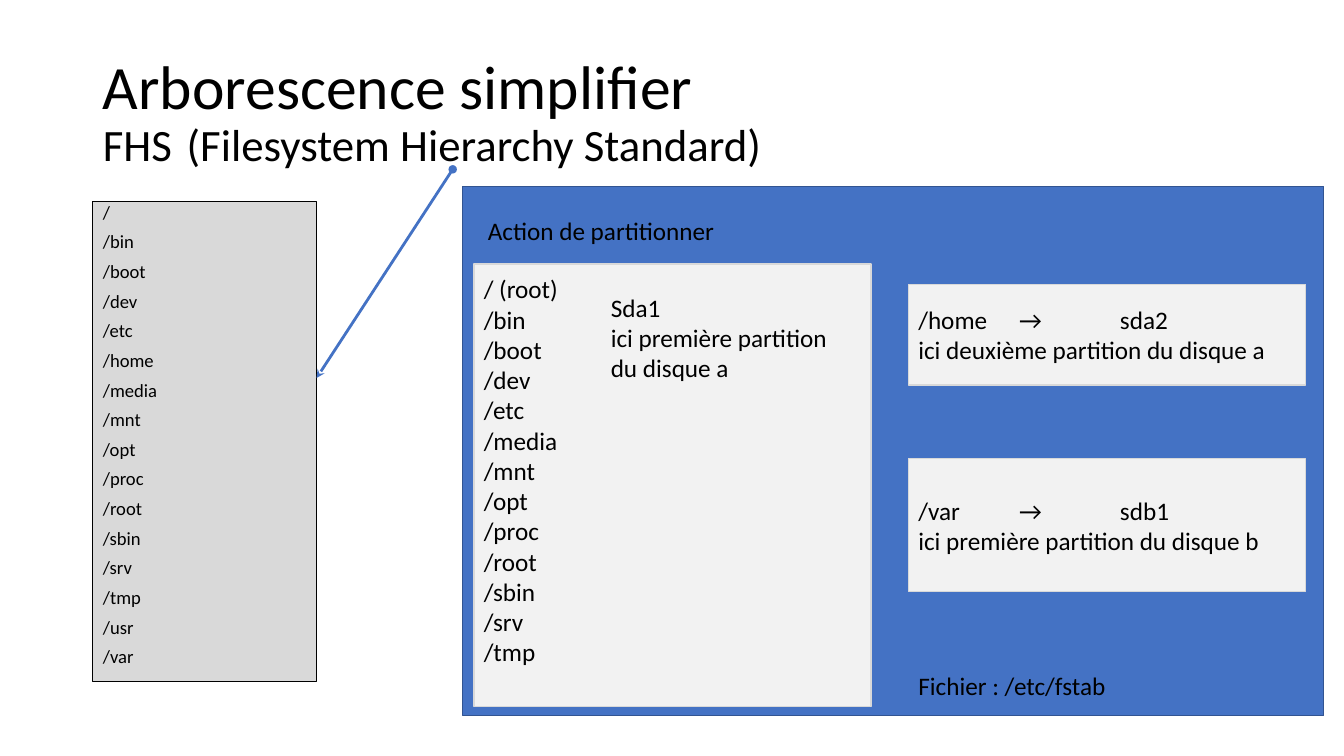
"""Build the slide on the simplified FHS tree and its partitions."""
from lxml import etree
from pptx import Presentation
from pptx.dml.color import RGBColor
from pptx.enum.shapes import MSO_CONNECTOR, MSO_SHAPE
from pptx.enum.text import MSO_ANCHOR, MSO_AUTO_SIZE, PP_ALIGN
from pptx.oxml.ns import qn
from pptx.util import Inches, Pt

RECTANGLE, STRAIGHT = MSO_SHAPE.RECTANGLE, MSO_CONNECTOR.STRAIGHT
TOP, MIDDLE = MSO_ANCHOR.TOP, MSO_ANCHOR.MIDDLE
NO_FIT, LEFT = MSO_AUTO_SIZE.NONE, PP_ALIGN.LEFT
COLORS = {"text": "000000", "disk": "4472C4", "disk_edge": "325491",
          "panel": "F2F2F2", "panel_edge": "D9D9D9", "tree": "D9D9D9"}
COLORS = {name: RGBColor.from_string(value) for name, value in COLORS.items()}


def paint(shape, fill, edge, width):
    shape.fill.solid()
    shape.fill.fore_color.rgb = COLORS[fill]
    shape.line.color.rgb = COLORS[edge]
    shape.line.width = Pt(width)


def write(shape, paragraphs, frame_format, paragraph_format):
    frame = shape.text_frame
    for name, value in frame_format.items():
        setattr(frame, name, value)
    frame.text = "\n".join(paragraphs)
    for paragraph in frame.paragraphs:
        for name, value in paragraph_format.items():
            setattr(paragraph, name, value)
        paragraph._p.get_or_add_pPr().set("defTabSz", str(Inches(1)))
        for run in paragraph.runs:
            run.font.name = "Calibri"
            run.font.color.rgb = COLORS["text"]
            run.font.size = Pt(18)


deck = Presentation()
deck.slide_width, deck.slide_height = Inches(13.33), Inches(7.5)
slide = deck.slides.add_slide(deck.slide_layouts[1])
shapes = slide.shapes
title, tree = slide.placeholders

placements = [(title, (0.92, 0.4, 11.5, 1.45)), (tree, (0.92, 2, 2.22, 4.76))]
for placeholder, place in placements:
    for side, length in zip(("left", "top", "width", "height"), place):
        setattr(placeholder, side, Inches(length))

write(title, [], {"vertical_anchor": MIDDLE, "auto_size": NO_FIT, "word_wrap": True},
      {"alignment": LEFT, "line_spacing": 0.9})
heading = title.text_frame.paragraphs[0]
heading_runs = [("Arborescence simplifier", 44), ("FHS ", 32), (" ", 14),
                ("(Filesystem Hierarchy Standard)", 32)]
for position, (words, size) in enumerate(heading_runs):
    if position == 1:
        heading.add_line_break()
    run = heading.add_run()
    run.text = words
    run.font.name, run.font.size = "Calibri", Pt(size)
    run.font.color.rgb = COLORS["text"]

root_folders = "/bin /boot /dev /etc /media /mnt /opt /proc /root /sbin /srv /tmp".split()
all_folders = ["/", *sorted(root_folders + ["/home", "/usr", "/var"])]
paint(tree, "tree", "text", 0.75)
write(tree, all_folders, {"vertical_anchor": TOP, "auto_size": NO_FIT},
      {"alignment": LEFT, "line_spacing": 0.7, "space_before": Pt(10)})
for folder in tree.text_frame.paragraphs:
    folder.runs[0].font.size = Pt(13.3)
    properties = folder._p.get_or_add_pPr()
    properties.set("marL", "0")
    properties.set("indent", "0")
    etree.SubElement(properties, qn("a:buNone"))

panel_left, panel_width = 9.01, 3.94
panels = [
    ((4.59, 1.85, 8.54, 5.25), "disk", "disk_edge", [], 0.05),
    ((4.7, 2.62, panel_width, 4.39), "panel", "panel_edge",
     ["/ (root)", *root_folders], 0.35),
    ((panel_left, 2.82, panel_width, 1), "panel", "panel_edge",
     ["/home \t→ \tsda2\vici deuxième partition du disque a"], 0.05),
    ((panel_left, 4.55, panel_width, 1.32), "panel", "panel_edge",
     ["/var \t→ \tsdb1\vici première partition du disque b"], 0.05),
]
for place, fill, edge, lines, bottom in panels:
    panel = shapes.add_shape(RECTANGLE, *map(Inches, place))
    panel.shadow.inherit = False
    paint(panel, fill, edge, 1)
    write(panel, lines, {"vertical_anchor": MIDDLE, "word_wrap": True,
                         "margin_bottom": Inches(bottom)}, {"alignment": LEFT})

arrow = shapes.add_connector(STRAIGHT, *map(Inches, (4.49, 1.68, 3.14, 3.75)))
arrow.line.color.rgb = COLORS["disk"]
arrow.line.width = Pt(2)
stroke = arrow.line._get_or_add_ln()
etree.SubElement(stroke, qn("a:headEnd"), type="oval")
etree.SubElement(stroke, qn("a:tailEnd"), type="stealth")
etree.SubElement(arrow._element.spPr, qn("a:effectLst"))

labels = [
    ((5.96, 2.85, 2.43, 1.01), "Sda1\vici première partition \vdu disque a"),
    ((panel_left, 6.6, 2.08, 0.4), "Fichier : /etc/fstab"),
    ((4.74, 2.09, 2.48, 0.4), "Action de partitionner"),
]
for place, words in labels:
    label = shapes.add_textbox(*map(Inches, place))
    write(label, [words], {"word_wrap": False}, {"alignment": LEFT})

deck.save("out.pptx")
